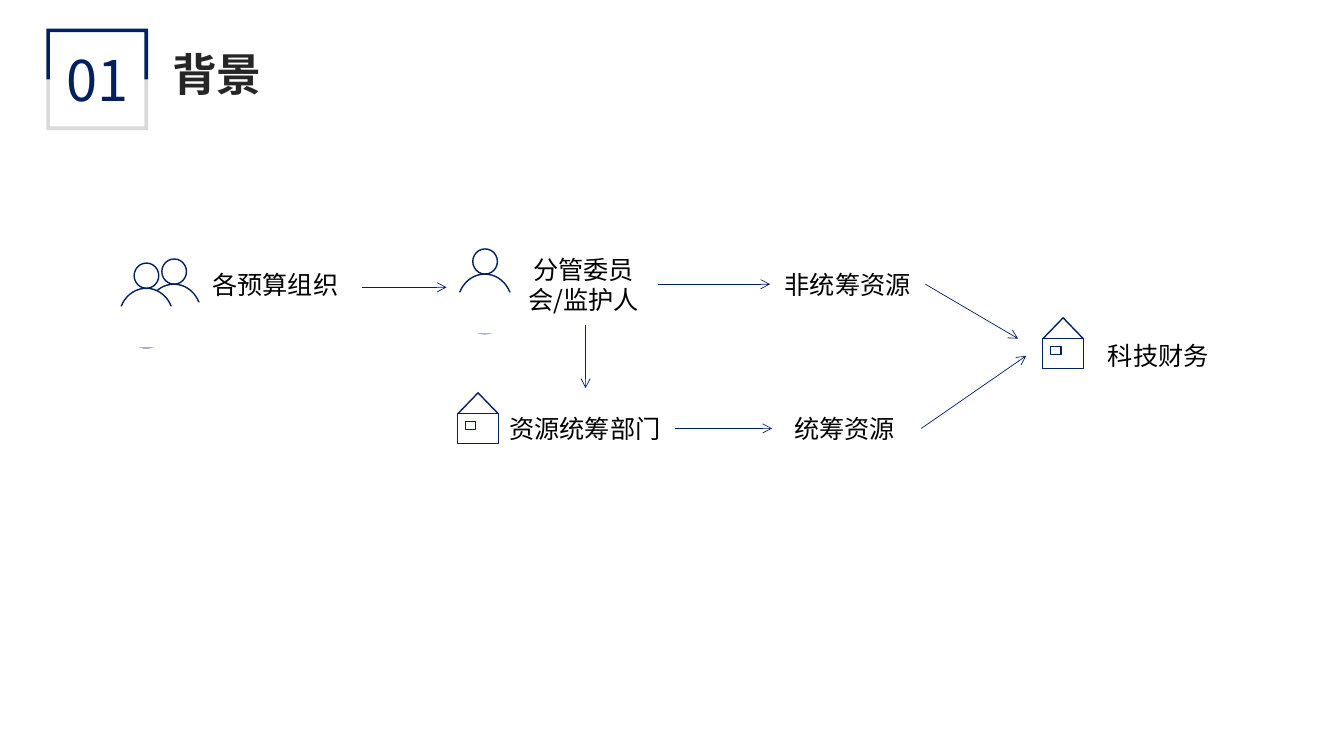
from lxml import etree
from pptx import Presentation
from pptx import util as u
from pptx.dml.color import RGBColor
from pptx.enum import shapes, text
from pptx.oxml.ns import qn

NAVY = RGBColor(0x00, 0x20, 0x60)
GREY = RGBColor(0xD9, 0xD9, 0xD9)
DARK = RGBColor(0x26, 0x26, 0x26)
BLACK = RGBColor(0, 0, 0)
WHITE = RGBColor(255, 255, 255)

SHAPE = shapes.MSO_SHAPE
TOP_ROW, BOTTOM_ROW = 174.2, 277.2
LABEL_W, LABEL_H = 106.6, 57.6


class Deck:
    font = "Noto Sans CJK SC"
    icon_line = 1
    arrow_line = 0.5

    def __init__(self, prs):
        self.s = prs.slides.add_slide(prs.slide_layouts[6])

    def text(self, content, x, y, w, h, size=18, color=BLACK, bold=False,
             align=text.PP_ALIGN.CENTER, anchor=text.MSO_ANCHOR.MIDDLE, wrap=True):
        sp = self.s.shapes.add_textbox(u.Pt(x), u.Pt(y), u.Pt(w), u.Pt(h))
        tf = sp.text_frame
        tf.word_wrap = wrap
        tf.vertical_anchor = anchor
        p = tf.paragraphs[0]
        p.alignment = align
        r = p.add_run()
        r.text = content
        r.font.size = u.Pt(size)
        r.font.bold = bold
        r.font.color.rgb = color
        r.font.name = self.font
        ea = etree.SubElement(r.font._element, qn("a:ea"))
        ea.set("typeface", self.font)

    def paint(self, sp, fill=None, line=None):
        sp.shadow.inherit = False
        if fill is None:
            sp.fill.background()
        else:
            sp.fill.solid()
            sp.fill.fore_color.rgb = fill
        if line is None:
            sp.line.fill.background()
        else:
            sp.line.color.rgb = line
            sp.line.width = u.Pt(self.icon_line)

    def shape(self, group, kind, x, y, w, h, fill=None, line=NAVY):
        sp = group.shapes.add_shape(kind, u.Pt(x), u.Pt(y), u.Pt(w), u.Pt(h))
        self.paint(sp, fill, line)

    def bracket(self, edge, middle, color):
        """Draw half of the number frame, from its closed edge to the middle."""
        left, right, thick = 33.1, 105.8, 2.6
        inner = edge + (thick if middle > edge else -thick)
        points = [(left, edge), (right, edge), (right, middle),
                  (right - thick, middle), (right - thick, inner),
                  (left + thick, inner), (left + thick, middle), (left, middle)]
        points = [(u.Pt(x), u.Pt(y)) for x, y in points]
        builder = self.s.shapes.build_freeform(*points[0])
        builder.add_line_segments(points[1:], close=True)
        self.paint(builder.convert_to_shape(), color)

    def arrow(self, x1, y1, x2, y2):
        c = self.s.shapes.add_connector(
            shapes.MSO_CONNECTOR.STRAIGHT, u.Pt(x1), u.Pt(y1), u.Pt(x2), u.Pt(y2))
        c.line.color.rgb = NAVY
        c.line.width = u.Pt(self.arrow_line)
        etree.SubElement(c.line._get_or_add_ln(), qn("a:tailEnd")).set("type", "arrow")
        etree.SubElement(c._element.spPr, qn("a:effectLst"))

    def person(self, x, y, fill=None):
        """Draw head and shoulders; a white block hides the lower body."""
        g = self.s.shapes.add_group_shape()
        self.shape(g, SHAPE.OVAL, x, y, 17.6, 18, fill)
        self.shape(g, SHAPE.OVAL, x - 10.8, y + 18, 38.9, 42.5, fill)
        self.shape(g, SHAPE.RECTANGLE, x - 22.3, y + 31, 62.6, 29.5, WHITE, None)

    def house(self, x, y):
        g = self.s.shapes.add_group_shape()
        self.shape(g, SHAPE.ISOSCELES_TRIANGLE, x, y, 29.2, 15.1, WHITE)
        self.shape(g, SHAPE.RECTANGLE, x, y + 14.8, 29.2, 21.6, WHITE)
        self.shape(g, SHAPE.RECTANGLE, x + 5.8, y + 20.5, 7.2, 5.8, WHITE)


def main():
    prs = Presentation()
    prs.slide_width, prs.slide_height = u.Pt(960), u.Pt(540)
    deck = Deck(prs)

    deck.bracket(92.9, 56.7, GREY)
    deck.bracket(20.4, 56.7, NAVY)
    deck.text("01", 33.1, 28.8, 72.7, 55.4, size=40, color=NAVY,
              anchor=text.MSO_ANCHOR.TOP)
    deck.text("背景", 115.9, 29.5, 78.5, 46.1, size=32, color=DARK, bold=True,
              align=text.PP_ALIGN.LEFT, anchor=text.MSO_ANCHOR.TOP, wrap=False)

    for label, x, y, w in [
        ("各预算组织", 143.3, TOP_ROW, LABEL_W),
        ("资源统筹部门", 354.2, BOTTOM_ROW, 127.4),
        ("分管委员会/监护人", 363.6, TOP_ROW, LABEL_W),
        ("非统筹资源", 552.2, TOP_ROW, LABEL_W),
        ("统筹资源", 550.1, BOTTOM_ROW, LABEL_W),
        ("科技财务", 774, 225.4, LABEL_W),
    ]:
        deck.text(label, x, y, w, LABEL_H)

    top_mid, bottom_mid = TOP_ROW + LABEL_H / 2, BOTTOM_ROW + LABEL_H / 2
    for ends in [
        (258.5, 205.2, 319, 205.2),
        (470.2, top_mid, 550.1, top_mid),
        (661, top_mid, 727.2, 241.9),
        (418.3, TOP_ROW + LABEL_H, 418.3, BOTTOM_ROW),
        (482.4, bottom_mid, 551.5, bottom_mid),
        (658.1, bottom_mid, 733, 254.2),
    ]:
        deck.arrow(*ends)

    deck.person(115.6, 185)
    deck.person(95.8, 187.9, WHITE)
    deck.person(337.7, 177.8)
    deck.house(326.9, 280.6)
    deck.house(744.8, 227)

    prs.save("out.pptx")


if __name__ == "__main__":
    main()
